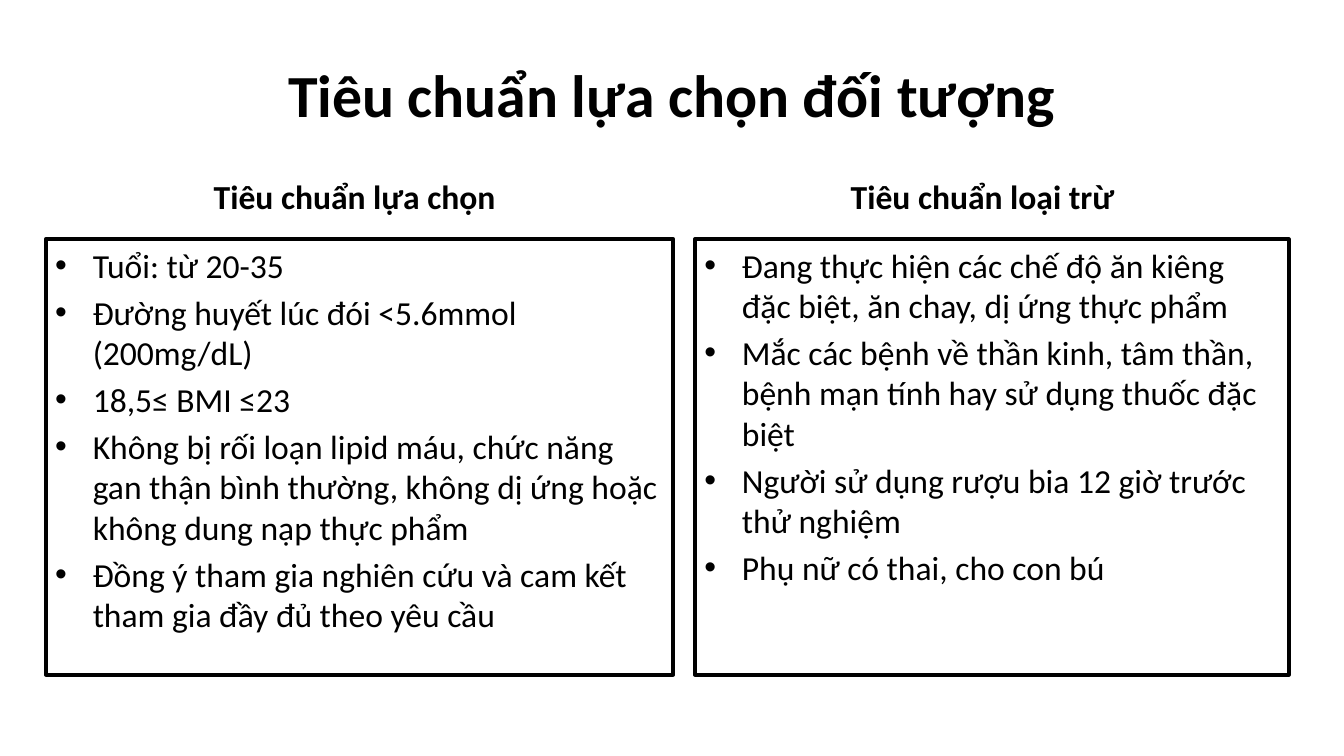
from lxml.etree import SubElement
from pptx import Presentation
from pptx.dml.color import RGBColor
from pptx.enum.text import MSO_ANCHOR as Anchor, MSO_AUTO_SIZE as AutoSize, PP_ALIGN as Align
from pptx.oxml.ns import qn
from pptx.util import Inches, Pt

BLACK = RGBColor(0x00, 0x00, 0x00)
WHITE = RGBColor(0xFF, 0xFF, 0xFF)
FONT = "Calibri"
COMPARISON_LAYOUT = 4
BODY_TOP, BODY_HEIGHT = 1.78, 3.24
HEADING_WIDTH, HEADING_HEIGHT, HEADING_GAP = 4.42, 0.52, 0.13

TITLE = "Tiêu chuẩn lựa chọn đối tượng"
INCLUSION = [
    "Tuổi: từ 20-35",
    "Đường huyết lúc đói <5.6mmol (200mg/dL)",
    "18,5≤ BMI ≤23",
    "Không bị rối loạn lipid máu, chức năng gan thận bình thường, "
    "không dị ứng hoặc không dung nạp thực phẩm",
    "Đồng ý tham gia nghiên cứu và cam kết tham gia đầy đủ theo yêu cầu",
]
EXCLUSION = [
    "Đang thực hiện các chế độ ăn kiêng đặc biệt, ăn chay, dị ứng thực phẩm",
    "Mắc các bệnh về thần kinh, tâm thần, bệnh mạn tính hay sử dụng thuốc đặc biệt",
    "Người sử dụng rượu bia 12 giờ trước thử nghiệm",
    "Phụ nữ có thai, cho con bú",
]


def add_bullet(paragraph, indent=0.28):
    """Give a paragraph a round bullet with a hanging indent."""
    properties = paragraph._p.get_or_add_pPr()
    properties.set("marL", str(Inches(indent)))
    properties.set("indent", str(-Inches(indent)))
    SubElement(properties, qn("a:buFont"), typeface="Arial")
    SubElement(properties, qn("a:buChar"), char="•")


def fill_placeholder(shape, box, lines, size=18, bold=False, bullets=False,
                     align=Align.LEFT, anchor=Anchor.TOP):
    """Move a placeholder to a box in inches and write formatted lines in it."""
    shape.left, shape.top, shape.width, shape.height = map(Inches, box)
    frame = shape.text_frame
    frame.text = "\n".join(lines)
    frame.word_wrap = True
    frame.auto_size = AutoSize.NONE
    frame.vertical_anchor = anchor
    frame.margin_left = frame.margin_right = Inches(0.07)
    frame.margin_top = frame.margin_bottom = Inches(0.04)
    for index, paragraph in enumerate(frame.paragraphs):
        paragraph.alignment = align
        paragraph.space_before = Pt(0.2 * size if index else 0)
        if bullets:
            add_bullet(paragraph)
        for run in paragraph.runs:
            run.font.name = FONT
            run.font.size = Pt(size)
            run.font.bold = bold
            run.font.color.rgb = BLACK


def add_criteria(heading, body, left, width, heading_offset, title, items):
    """Place a heading above a framed bullet list."""
    heading_top = BODY_TOP - HEADING_GAP - HEADING_HEIGHT
    heading_box = (left + heading_offset, heading_top, HEADING_WIDTH, HEADING_HEIGHT)
    fill_placeholder(heading, heading_box, [title], bold=True, anchor=Anchor.BOTTOM)
    fill_placeholder(body, (left, BODY_TOP, width, BODY_HEIGHT), items, bullets=True)
    body.fill.solid()
    body.fill.fore_color.rgb = WHITE
    body.line.color.rgb = BLACK
    body.line.width = Pt(2)


def build_slide(presentation):
    """Add the slide that compares inclusion and exclusion criteria."""
    slide = presentation.slides.add_slide(presentation.slide_layouts[COMPARISON_LAYOUT])
    title, left_heading, left_body, right_heading, right_body = slide.placeholders
    fill_placeholder(title, (0.5, 0.23, 9, 0.94), [TITLE], size=32, bold=True,
                     align=Align.CENTER, anchor=Anchor.MIDDLE)
    add_criteria(left_heading, left_body, 0.34, 4.67, 1.18,
                 "Tiêu chuẩn lựa chọn", INCLUSION)
    add_criteria(right_heading, right_body, 5.17, 4.42, 1.09,
                 "Tiêu chuẩn loại trừ", EXCLUSION)


def main():
    """Build and save the presentation in the 16:9 format."""
    presentation = Presentation()
    presentation.slide_width = Inches(10)
    presentation.slide_height = Inches(10 * 9 / 16)
    build_slide(presentation)
    presentation.save("out.pptx")


if __name__ == "__main__":
    main()
